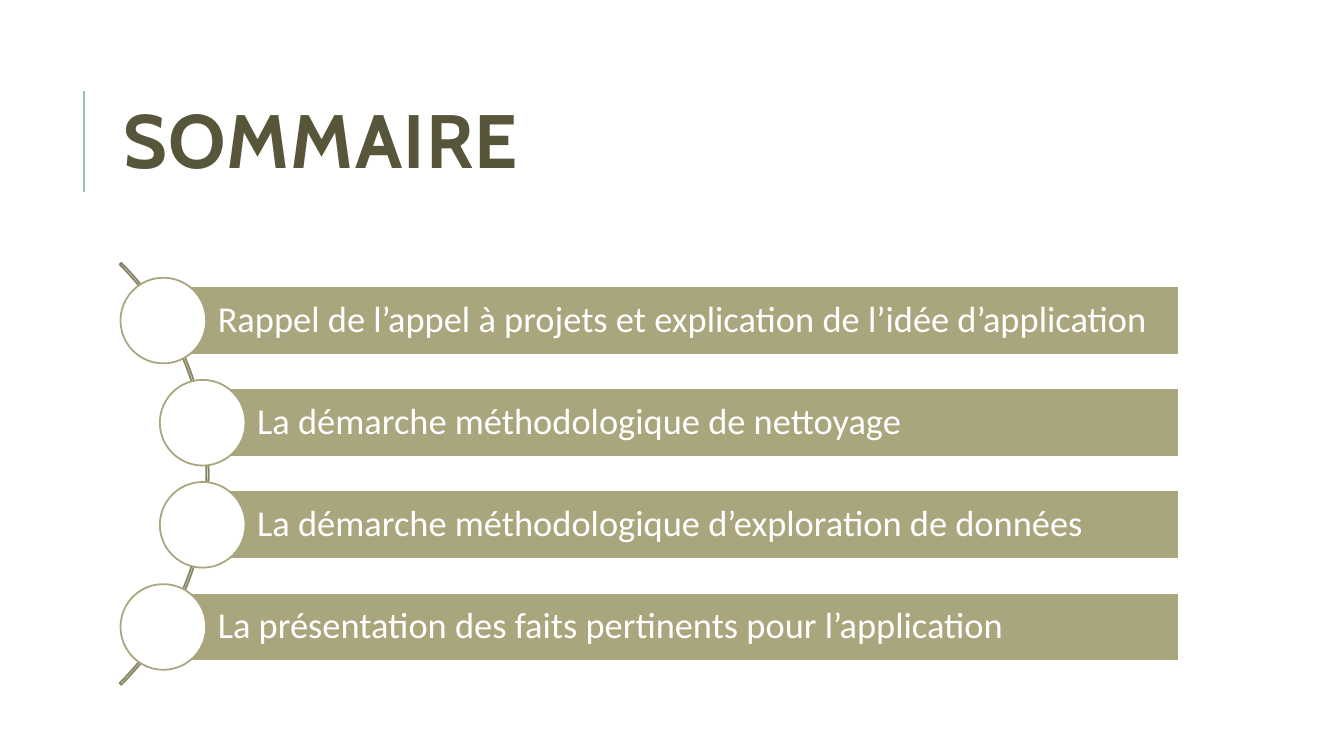
from dataclasses import dataclass

from lxml.etree import SubElement
from pptx import Presentation
from pptx.dml.color import RGBColor
from pptx.enum.shapes import MSO_CONNECTOR, MSO_SHAPE
from pptx.enum.text import MSO_ANCHOR, PP_ALIGN
from pptx.oxml.ns import qn
from pptx.shapes.autoshape import Shape
from pptx.slide import Slide
from pptx.util import Inches, Pt

WHITE = RGBColor(0xFF, 0xFF, 0xFF)
OLIVE = RGBColor(0xA9, 0xA5, 0x7C)
ARC_OLIVE = RGBColor(0x87, 0x84, 0x63)
DARK_OLIVE = RGBColor(0x58, 0x56, 0x3A)
TEAL = RGBColor(0x9C, 0xBE, 0xBD)

OUTER_X, INNER_X = 1.62, 2.01
FIRST_Y, LAST_Y = 3.18, 6.22
BAR_RIGHT, BAR_HEIGHT = 11.69, 0.68
CIRCLE_SIZE = 0.85


@dataclass(frozen=True)
class AgendaItem:
    text: str
    center_x: float


AGENDA = [
    AgendaItem("Rappel de l’appel à projets et explication de l’idée d’application", OUTER_X),
    AgendaItem("La démarche méthodologique de nettoyage", INNER_X),
    AgendaItem("La démarche méthodologique d’exploration de données", INNER_X),
    AgendaItem("La présentation des faits pertinents pour l’application", OUTER_X),
]


def add_outlined_shape(slide: Slide, kind: MSO_SHAPE, left: float, top: float,
                       width: float, height: float, line_color: RGBColor,
                       fill_color: RGBColor | None = None) -> Shape:
    shape = slide.shapes.add_shape(kind, Inches(left), Inches(top), Inches(width), Inches(height))
    shape.shadow.inherit = False
    if fill_color is None:
        shape.fill.background()
    else:
        shape.fill.solid()
        shape.fill.fore_color.rgb = fill_color
    shape.line.color.rgb = line_color
    shape.line.width = Pt(1.25)
    return shape


def add_title_rule(slide: Slide) -> None:
    rule = slide.shapes.add_connector(
        MSO_CONNECTOR.STRAIGHT, Inches(0.83), Inches(1.9), Inches(0.83), Inches(0.9))
    rule.line.color.rgb = TEAL
    rule.line.width = Pt(1.5)
    SubElement(rule._element.spPr, qn("a:effectLst"))


def format_title(slide: Slide) -> None:
    title = slide.shapes.title
    title.left, title.top = Inches(1.12), Inches(0.64)
    title.width, title.height = Inches(10.63), Inches(1.64)
    title.text_frame.text = "SOMMAIRE"
    title.text_frame.vertical_anchor = MSO_ANCHOR.MIDDLE
    paragraph = title.text_frame.paragraphs[0]
    paragraph.alignment = PP_ALIGN.LEFT
    paragraph.line_spacing = 0.8
    paragraph.font.name = "Cabin"
    paragraph.font.size = Pt(54)
    paragraph.font.bold = True
    paragraph.font.color.rgb = DARK_OLIVE
    # Letter spacing, in hundredths of a point
    paragraph._p.pPr.find(qn("a:defRPr")).set("spc", "100")


def add_arc(slide: Slide) -> None:
    arc = add_outlined_shape(slide, MSO_SHAPE.BLOCK_ARC, -3.85, 1.74, 5.92, 5.92, ARC_OLIVE)
    # Start and end angles (315° and 45°), then band thickness
    for index, value in enumerate((189, 27, 0.004)):
        arc.adjustments[index] = value


def add_agenda_item(slide: Slide, item: AgendaItem, center_y: float) -> None:
    bar = add_outlined_shape(
        slide, MSO_SHAPE.RECTANGLE, item.center_x, center_y - BAR_HEIGHT / 2,
        BAR_RIGHT - item.center_x, BAR_HEIGHT, WHITE, OLIVE)
    frame = bar.text_frame
    frame.text = item.text
    frame.word_wrap = True
    frame.vertical_anchor = MSO_ANCHOR.MIDDLE
    frame.margin_left = Inches(0.54)
    frame.margin_top = frame.margin_right = frame.margin_bottom = Inches(0.07)
    paragraph = frame.paragraphs[0]
    paragraph.alignment = PP_ALIGN.LEFT
    paragraph.line_spacing = 0.9
    paragraph.font.name = "Calibri"
    paragraph.font.size = Pt(26)
    paragraph.font.color.rgb = WHITE

    radius = CIRCLE_SIZE / 2
    add_outlined_shape(slide, MSO_SHAPE.OVAL, item.center_x - radius, center_y - radius,
                       CIRCLE_SIZE, CIRCLE_SIZE, OLIVE, WHITE)


def main() -> None:
    presentation = Presentation()
    presentation.slide_width = Inches(13.33)
    presentation.slide_height = Inches(7.5)
    slide = presentation.slides.add_slide(presentation.slide_layouts.get_by_name("Title Only"))
    add_title_rule(slide)
    format_title(slide)
    add_arc(slide)
    pitch = (LAST_Y - FIRST_Y) / (len(AGENDA) - 1)
    for index, item in enumerate(AGENDA):
        add_agenda_item(slide, item, FIRST_Y + index * pitch)
    presentation.save("out.pptx")


if __name__ == "__main__":
    main()
